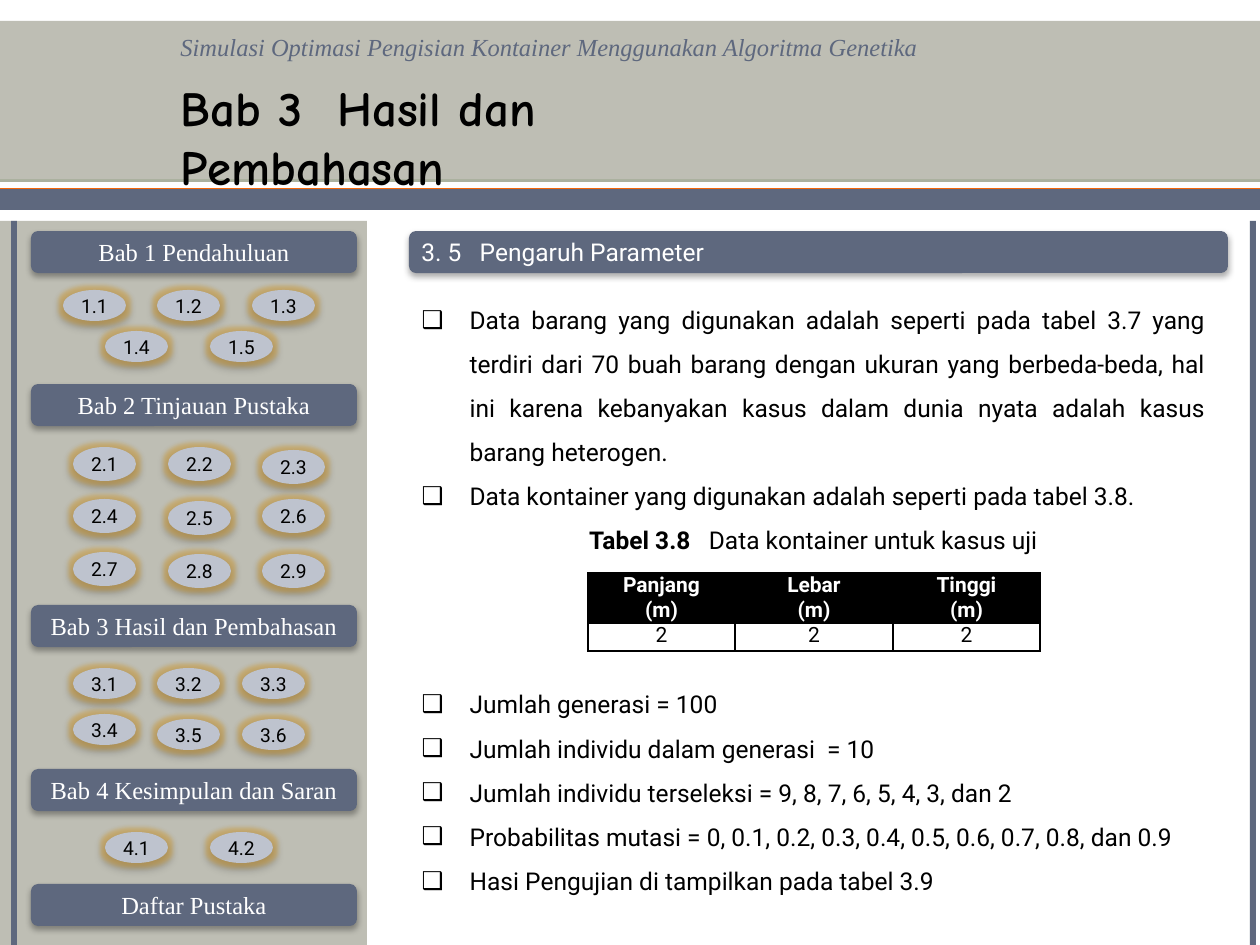
from lxml import etree
from pptx import Presentation
from pptx import util as u
from pptx.dml.color import RGBColor
from pptx.enum import shapes, text
from pptx.oxml import parse_xml
from pptx.oxml.ns import nsdecls, qn

PX = 914400 / 126
SLATE, SAND, BLACK, WHITE = "5E687E", "BEBEB4", "000000", "FFFFFF"
SERIF, SANS = "Times New Roman", "Roboto"
KIND = shapes.MSO_SHAPE
LEFT, MID, JUST = text.PP_ALIGN.LEFT, text.PP_ALIGN.CENTER, text.PP_ALIGN.JUSTIFY
SHADE = ('<a:outerShdw blurRad="44450" dist="27940" dir="5400000" rotWithShape="0">'
         '<a:srgbClr val="000000"><a:alpha val="32000"/></a:srgbClr></a:outerShdw>')
GLOW = ('<a:glow rad="63500"><a:srgbClr val="D9A33A">'
        '<a:alpha val="50000"/></a:srgbClr></a:glow>')

deck = Presentation()
deck.slide_width, deck.slide_height = u.Inches(10), u.Inches(7.5)
slide = deck.slides.add_slide(deck.slide_layouts[1])
title, body = slide.placeholders


def put(kind, spot, fill, effect=""):
    """Add a filled shape, or a text box when kind is None; spot is in px."""
    spot = [round(n * PX) for n in spot]
    if kind is None:
        item = slide.shapes.add_textbox(*spot)
        item.text_frame.word_wrap = True
        return item
    item = slide.shapes.add_shape(kind, *spot)
    item.fill.solid()
    item.fill.fore_color.rgb = RGBColor.from_string(fill)
    item.line.fill.background()
    item.shadow.inherit = False
    if effect:
        props = item.element.spPr
        props.remove(props.find(qn("a:effectLst")))
        props.append(parse_xml(f'<a:effectLst {nsdecls("a")}>{effect}</a:effectLst>'))
    return item


def write(para, words, size, face, color, align=LEFT, bold=False):
    para.alignment = align
    run = para.add_run()
    run.text = words
    font = run.font
    font.size, font.name, font.bold = u.Pt(size), face, bold
    font.color.rgb = RGBColor.from_string(color)
    return run


# Header bands and side bars
for spot, fill in [((0, 23, 1260, 159), "ABB19F"), ((0, 188, 1260, 21), "F4680B"),
                   ((0, 21, 1260, 158), SAND), ((0, 189, 1260, 21), SLATE),
                   ((1250, 221, 6, 724), SLATE), ((0, 221, 367, 724), SAND),
                   ((11, 221, 6, 724), SLATE)]:
    put(KIND.RECTANGLE, spot, fill)
topic = put(None, (168, 26, 1092, 43), None)
write(topic.text_frame.paragraphs[0],
      "Simulasi Optimasi Pengisian Kontainer Menggunakan Algoritma Genetika",
      14, SERIF, SLATE).font.italic = True

# Menu: chapter name, bar top, oval height, oval corners
menu = [
    ("Bab 1 Pendahuluan", 231, 31,
     [(63, 290), (157, 290), (252, 290), (105, 331), (210, 331)]),
    ("Bab 2 Tinjauan Pustaka", 384, 34,
     [(73, 447), (168, 447), (262, 450), (73, 499), (168, 501), (262, 499),
      (73, 552), (168, 554), (262, 554)]),
    ("Bab 3 Hasil dan Pembahasan", 605, 31,
     [(73, 668), (157, 668), (242, 668), (73, 714), (157, 719), (242, 719)]),
    ("Bab 4 Kesimpulan dan Saran", 769, 31, [(105, 832), (210, 832)]),
    ("Daftar Pustaka", 884, 31, []),
]
for chap, (name, top, high, spots) in enumerate(menu, 1):
    bar = put(KIND.FLOWCHART_ALTERNATE_PROCESS, (31, top, 326, 42), SLATE, SHADE)
    bar.text_frame.margin_left = bar.text_frame.margin_right = 0
    write(bar.text_frame.paragraphs[0], name, 14, SERIF, WHITE, MID)
    for part, (x, y) in enumerate(spots, 1):
        oval = put(KIND.OVAL, (x, y, 63, high), "BEC3CE", GLOW + SHADE)
        frame = oval.text_frame
        frame.word_wrap = False
        frame.margin_left = frame.margin_right = 0
        frame.margin_top = frame.margin_bottom = 0
        write(frame.paragraphs[0], f"{chap}.{part}", 11, SANS, BLACK, MID)

# Section heading
put(KIND.FLOWCHART_ALTERNATE_PROCESS, (409, 231, 819, 42), SLATE, SHADE)
head = put(None, (409, 231, 819, 43), None)
write(head.text_frame.paragraphs[0], "3. 5   Pengaruh Parameter", 14, SANS, WHITE)

# Title and body, brought in front of the bands
for item, spot in [(title, (168, 71, 651, 72)), (body, (409, 284, 809, 625))]:
    item.left, item.top, item.width, item.height = [round(n * PX) for n in spot]
    item.text_frame.auto_size = text.MSO_AUTO_SIZE.NONE
    item.text_frame.vertical_anchor = text.MSO_ANCHOR.TOP
    item.element.getparent().append(item.element)
write(title.text_frame.paragraphs[0], "Bab 3  Hasil dan Pembahasan",
      28, "Comic Neue", BLACK, bold=True)

CAP = "Tabel 3.8"
lines = [
    "Data barang yang digunakan adalah seperti pada tabel 3.7 yang terdiri dari "
    "70 buah barang dengan ukuran yang berbeda-beda, hal ini karena kebanyakan "
    "kasus dalam dunia nyata adalah kasus barang heterogen.",
    "Data kontainer yang digunakan adalah seperti pada tabel 3.8.",
    CAP,
    "Jumlah generasi = 100",
    "Jumlah individu dalam generasi  = 10",
    "Jumlah individu terseleksi = 9, 8, 7, 6, 5, 4, 3, dan 2",
    "Probabilitas mutasi = 0, 0.1, 0.2, 0.3, 0.4, 0.5, 0.6, 0.7, 0.8, dan 0.9",
    "Hasi Pengujian di tampilkan pada tabel 3.9",
]
frame = body.text_frame
for i, line in enumerate(lines):
    para = frame.add_paragraph() if i else frame.paragraphs[0]
    para.line_spacing, para.space_before = 1.5, u.Pt(0)
    props = para._p.get_or_add_pPr()
    props.set("marL", str(round(48 * PX)))
    props.set("indent", str(round(-48 * PX)))
    if line == CAP:
        para.space_after = u.Pt(68.5)  # room for the table
        etree.SubElement(props, qn("a:buNone"))
        write(para, line, 14, SANS, BLACK, MID, True)
        write(para, "   Data kontainer untuk kasus uji", 14, SANS, BLACK, MID)
    else:
        etree.SubElement(props, qn("a:buChar")).set("char", "❑")
        write(para, line, 14, SANS, BLACK, JUST)

# Container table
wide, tall = [147, 158, 147], [50, 28]
spot = [round(n * PX) for n in (588, 573, sum(wide), sum(tall))]
grid = slide.shapes.add_table(2, 3, *spot).table
for row, size in zip(grid.rows, tall):
    row.height = round(size * PX)
for col, size in zip(grid.columns, wide):
    col.width = round(size * PX)
cells = [[("Panjang", "(m)"), ("Lebar", "(m)"), ("Tinggi", "(m)")], [("2",)] * 3]
for r, row in enumerate(cells):
    for c, words in enumerate(row):
        cell = grid.cell(r, c)
        cell.margin_left = cell.margin_right = u.Inches(0.07)
        cell.margin_top = cell.margin_bottom = 0
        for i, word in enumerate(words):
            para = cell.text_frame.add_paragraph() if i else cell.text_frame.paragraphs[0]
            write(para, word, 12, SANS, BLACK if r else WHITE, MID, r == 0)
        props = cell._tc.get_or_add_tcPr()
        for side in ("lnL", "lnR", "lnT", "lnB"):
            props.append(parse_xml(
                f'<a:{side} {nsdecls("a")} w="12700"><a:solidFill>'
                f'<a:srgbClr val="{BLACK}"/></a:solidFill></a:{side}>'))
        if r:
            cell.fill.background()
        else:
            cell.fill.solid()
            cell.fill.fore_color.rgb = RGBColor.from_string(BLACK)

deck.save("out.pptx")
